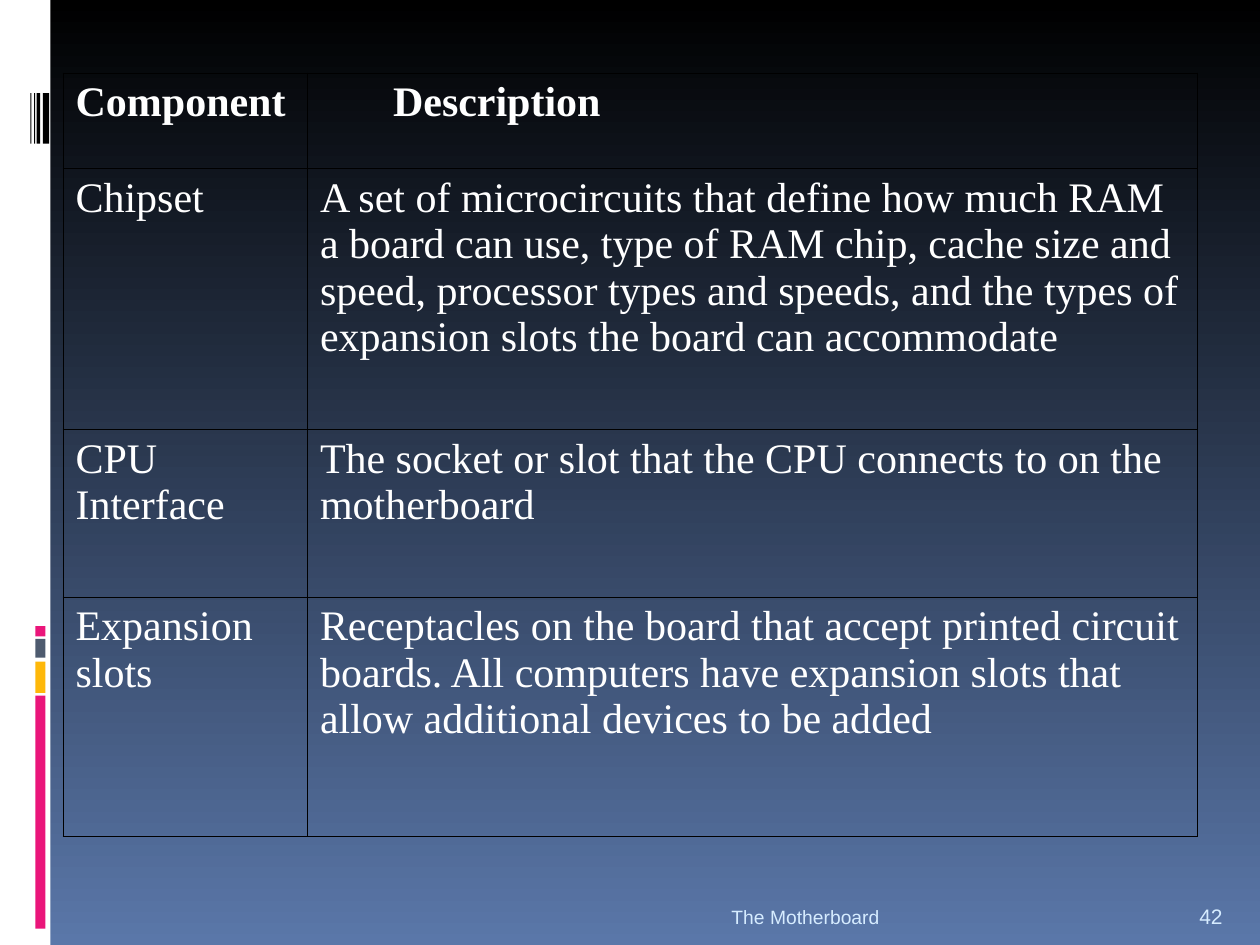
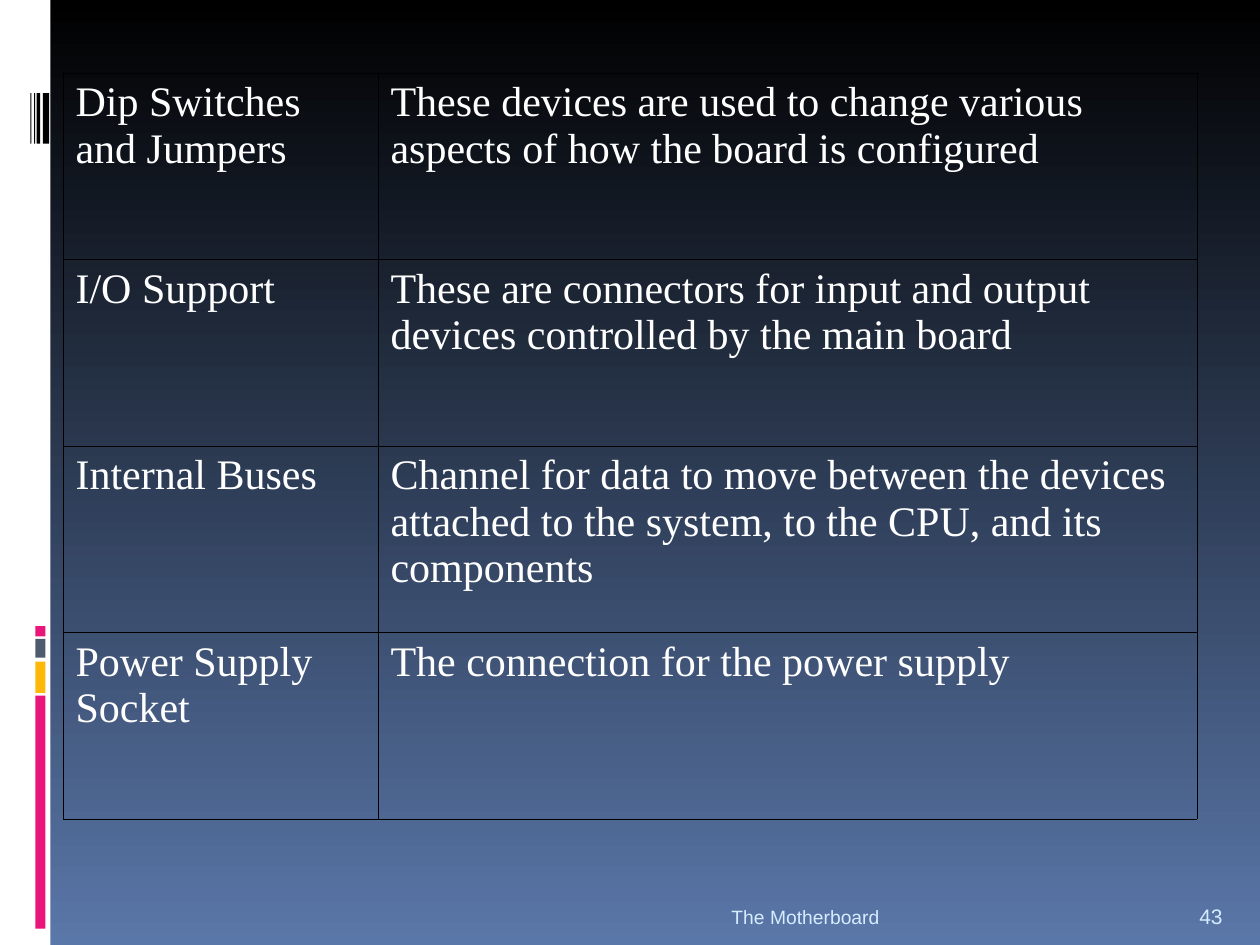
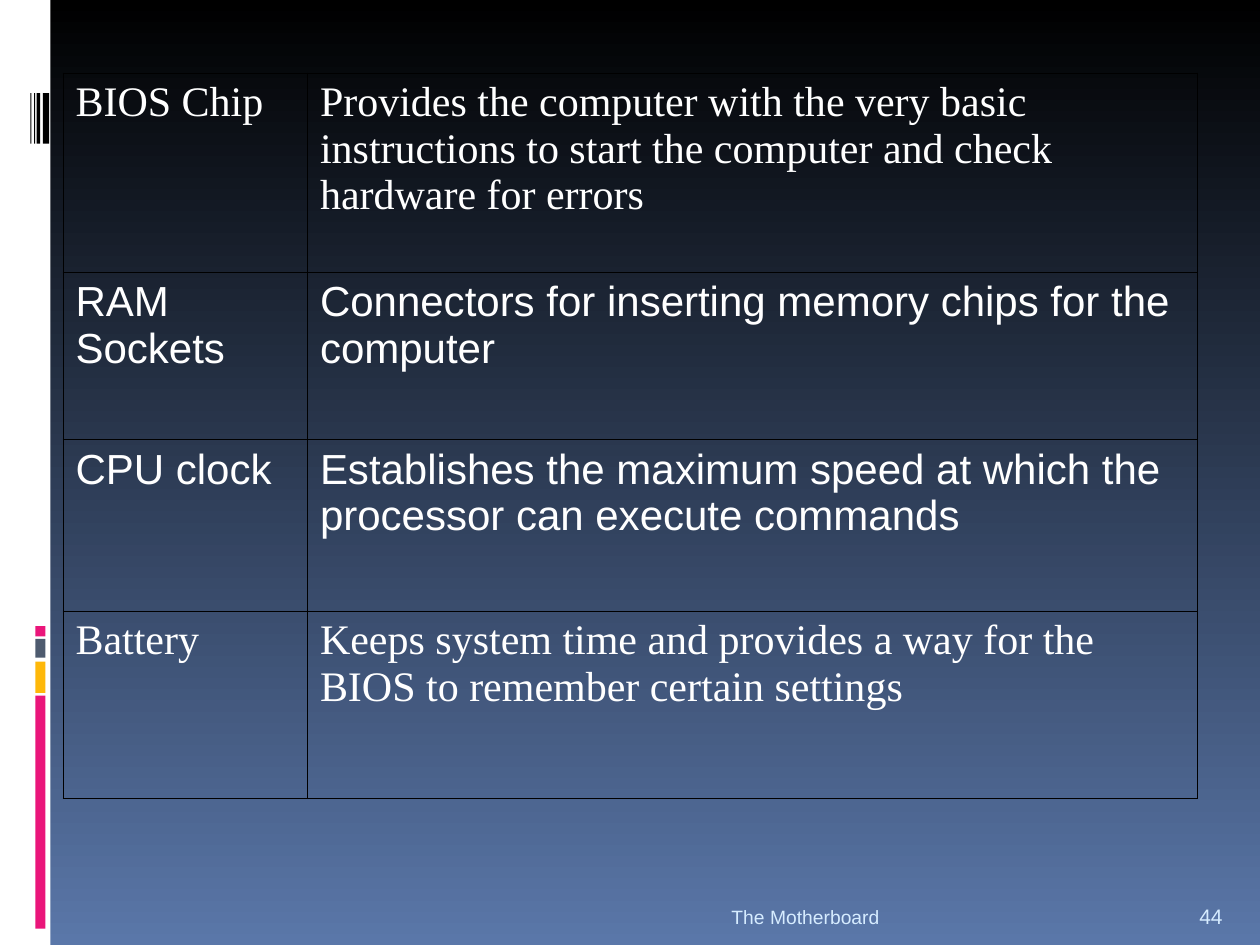
from dataclasses import dataclass

from lxml import etree
from pptx import Presentation
from pptx.dml.color import RGBColor
from pptx.enum.shapes import MSO_SHAPE
from pptx.enum.text import MSO_ANCHOR, PP_ALIGN
from pptx.oxml.ns import qn
from pptx.util import Inches, Pt

RECTANGLE = MSO_SHAPE.RECTANGLE
BOTTOM = MSO_ANCHOR.BOTTOM
LEFT, RIGHT = PP_ALIGN.LEFT, PP_ALIGN.RIGHT


@dataclass(frozen=True)
class Theme:
    black: str = "000000"
    blue: str = "5A77A9"
    white: str = "FFFFFF"
    pink: str = "EA157A"
    amber: str = "FEB80A"
    slate: str = "4E5B6F"
    pale_blue: str = "D6ECFF"
    serif: str = "Times New Roman"
    sans: str = "Arial"
    table_size: float = 24
    footer_size: float = 11
    number_size: float = 12
    border_width: float = 0.45


THEME = Theme()
SLIDE_WIDTH, SLIDE_HEIGHT = 10, 7.5
FOOTER = "The Motherboard"
FIRST_NUMBER = 42
TABLE_LEFT, TABLE_TOP = 0.5, 0.58
HEADING_INDENT = 0.58

# Each row: component, description, height, font
TABLES = [
    {
        "columns": (1.94, 7.06),
        "has_heading": True,
        "rows": [
            ("Component", "Description", 0.76, THEME.serif),
            ("Chipset",
             "A set of microcircuits that define how much RAM a board can use, "
             "type of RAM chip, cache size and speed, processor types and speeds, "
             "and the types of expansion slots the board can accommodate",
             2.07, THEME.serif),
            ("CPU Interface",
             "The socket or slot that the CPU connects to on the motherboard",
             1.33, THEME.serif),
            ("Expansion slots",
             "Receptacles on the board that accept printed circuit boards. "
             "All computers have expansion slots that allow additional devices "
             "to be added",
             1.9, THEME.serif),
        ],
    },
    {
        "columns": (2.5, 6.5),
        "has_heading": False,
        "rows": [
            ("Dip Switches\nand Jumpers",
             "These devices are used to change various aspects of how the board "
             "is configured",
             1.48, THEME.serif),
            ("I/O Support",
             "These are connectors for input and output devices controlled by "
             "the main board",
             1.48, THEME.serif),
            ("Internal Buses",
             "Channel for data to move between the devices attached to the "
             "system, to the CPU, and its components",
             1.48, THEME.serif),
            ("Power Supply\nSocket", "The connection for the power supply",
             1.48, THEME.serif),
        ],
    },
    {
        "columns": (1.94, 7.06),
        "has_heading": False,
        "rows": [
            ("BIOS Chip",
             "Provides the computer with the very basic instructions to start "
             "the computer and check hardware for errors",
             1.58, THEME.serif),
            ("RAM Sockets",
             "Connectors for inserting memory chips for the computer",
             1.33, THEME.sans),
            ("CPU clock",
             "Establishes the maximum speed at which the processor can execute "
             "commands",
             1.36, THEME.sans),
            ("Battery",
             "Keeps system time and provides a way for the BIOS to remember "
             "certain settings",
             1.49, THEME.serif),
        ],
    },
]


def set_background(master):
    fill = master.background.fill
    fill.gradient()
    fill.gradient_angle = 270
    for stop, color, position in zip(
            fill.gradient_stops, (THEME.black, THEME.blue), (0, 1)):
        stop.color.rgb = RGBColor.from_string(color)
        stop.position = position


def add_bar(slide, left, top, width, height, color):
    bar = slide.shapes.add_shape(
        RECTANGLE, Inches(left), Inches(top), Inches(width), Inches(height))
    bar.shadow.inherit = False
    bar.fill.solid()
    bar.fill.fore_color.rgb = RGBColor.from_string(color)
    bar.line.fill.background()


def add_side_band(slide, left, top):
    """White strip with a stack of coloured blocks and a barcode."""
    add_bar(slide, left, top, 0.4, SLIDE_HEIGHT, THEME.white)
    for offset, height, color in (
            (5.52, 1.85, THEME.pink), (5.25, 0.25, THEME.amber),
            (5.07, 0.15, THEME.slate), (4.97, 0.08, THEME.pink)):
        add_bar(slide, left + 0.28, top + offset, 0.08, height, color)
    for offset, width in ((0.34, 0.05), (0.29, 0.03), (0.27, 0.01), (0.24, 0.01)):
        add_bar(slide, left + offset, top + 0.74, width, 0.4, THEME.black)


def format_text(text_frame, font_name, size, color, bold=False, alignment=LEFT):
    for paragraph in text_frame.paragraphs:
        paragraph.alignment = alignment
        for run in paragraph.runs:
            run.font.name = font_name
            run.font.size = Pt(size)
            run.font.bold = bold
            run.font.color.rgb = RGBColor.from_string(color)


def add_footer_text(slide, text, left, width, size, alignment):
    box = slide.shapes.add_textbox(
        Inches(left), Inches(7.02), Inches(width), Inches(0.4))
    text_frame = box.text_frame
    text_frame.word_wrap = True
    text_frame.vertical_anchor = BOTTOM
    text_frame.text = text
    format_text(text_frame, THEME.sans, size, THEME.pale_blue, alignment=alignment)


def add_borders(cell):
    properties = cell._tc.get_or_add_tcPr()
    for side in ("a:lnL", "a:lnR", "a:lnT", "a:lnB"):
        line = etree.SubElement(
            properties, qn(side), w=str(int(Pt(THEME.border_width))))
        fill = etree.SubElement(line, qn("a:solidFill"))
        etree.SubElement(fill, qn("a:srgbClr"), val=THEME.black)


def add_component_table(slide, left, top, columns, rows, has_heading):
    table = slide.shapes.add_table(
        len(rows), len(columns), Inches(left), Inches(top),
        Inches(sum(columns)), Inches(sum(row[2] for row in rows))).table
    table.first_row = has_heading
    table.horz_banding = False
    for column, width in zip(table.columns, columns):
        column.width = Inches(width)
    for index, (component, description, height, font_name) in enumerate(rows):
        table.rows[index].height = Inches(height)
        for cell, text in zip(table.rows[index].cells, (component, description)):
            add_borders(cell)
            cell.fill.background()
            cell.text_frame.text = text
            format_text(cell.text_frame, font_name, THEME.table_size, THEME.white,
                        bold=has_heading and index == 0)
    if has_heading:
        table.cell(0, 1).margin_left = Inches(0.1 + HEADING_INDENT)


def add_component_slide(presentation, number, content):
    slide = presentation.slides.add_slide(presentation.slide_layouts[6])
    add_side_band(slide, 0, 0)
    add_component_table(slide, TABLE_LEFT, TABLE_TOP, **content)
    add_footer_text(slide, FOOTER, 1, 6.08, THEME.footer_size, RIGHT)
    add_footer_text(slide, str(number), 9.42, 0.5, THEME.number_size, LEFT)


def main():
    presentation = Presentation()
    presentation.slide_width = Inches(SLIDE_WIDTH)
    presentation.slide_height = Inches(SLIDE_HEIGHT)
    set_background(presentation.slide_master)
    for number, content in enumerate(TABLES, FIRST_NUMBER):
        add_component_slide(presentation, number, content)
    presentation.save("out.pptx")


if __name__ == "__main__":
    main()
